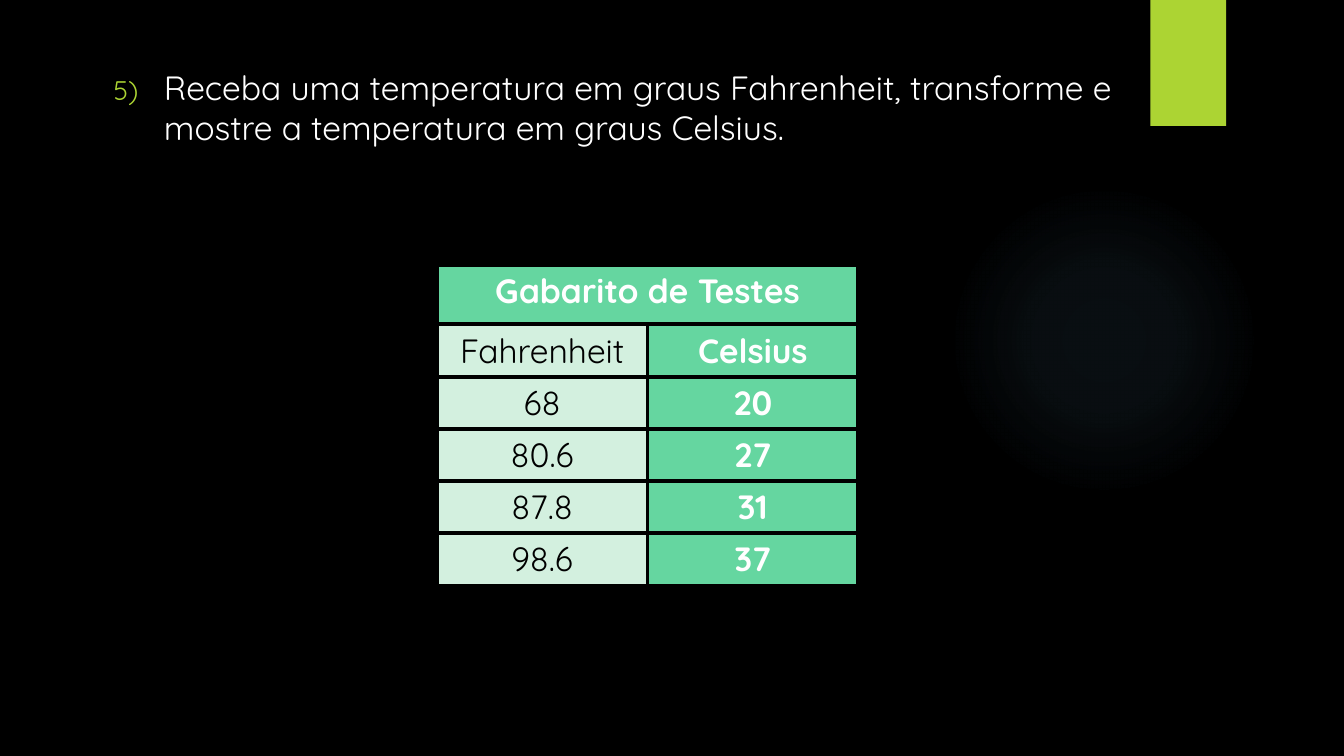
"""Build the slide with the Fahrenheit to Celsius exercise and its answer table."""
from lxml import etree
from pptx import Presentation
from pptx import util as u
from pptx.dml.color import RGBColor
from pptx.enum import shapes, text
from pptx.oxml import parse_xml
from pptx.oxml.ns import nsdecls, qn

BLACK, WHITE, LIME = "000000", "FFFFFF", "ACD433"
GREEN, MINT, GLOW = "65D6A0", "D3F0DF", "7AC4F0"


def color(value):
    return RGBColor.from_string(value)


def write(frame, words, ink=WHITE, bold=False, align=text.PP_ALIGN.LEFT,
          anchor=text.MSO_ANCHOR.TOP):
    frame.word_wrap = True
    frame.vertical_anchor = anchor
    para = frame.paragraphs[0]
    para.alignment = align
    span = para.add_run()
    span.text = words
    span.font.name = "Quicksand"
    span.font.size = u.Pt(24)
    span.font.bold = bold
    span.font.color.rgb = color(ink)
    return para


deck = Presentation()
deck.slide_width, deck.slide_height = u.Pt(960), u.Pt(540)
page = deck.slides.add_slide(deck.slide_layouts[6])
page.background.fill.solid()
page.background.fill.fore_color.rgb = color(BLACK)

glow = page.shapes.add_shape(shapes.MSO_SHAPE.OVAL, u.Pt(677.5), u.Pt(131.8),
                             u.Pt(221.8), u.Pt(221.8))
glow.shadow.inherit = False
glow.line.fill.background()
stops = "".join(
    f'<a:gs pos="{place * 1000}"><a:srgbClr val="{GLOW}">'
    f'<a:alpha val="{alpha * 1000}"/></a:srgbClr></a:gs>'
    for place, alpha in [(0, 7), (36, 6), (69, 0)])
glow.element.spPr.find(qn("a:prstGeom")).addnext(parse_xml(
    f'<a:gradFill {nsdecls("a")}><a:gsLst>{stops}</a:gsLst><a:path path="circle">'
    '<a:fillToRect l="50000" t="50000" r="50000" b="50000"/></a:path></a:gradFill>'))

tab = page.shapes.add_shape(shapes.MSO_SHAPE.RECTANGLE, u.Pt(821.8), u.Pt(0),
                            u.Pt(54), u.Pt(90))
tab.shadow.inherit = False
tab.fill.solid()
tab.fill.fore_color.rgb = color(LIME)
tab.line.fill.background()

box = page.shapes.add_textbox(u.Pt(74), u.Pt(44), u.Pt(738), u.Pt(330))
question = write(box.text_frame, "Receba uma temperatura em graus Fahrenheit, "
                 "transforme e mostre a temperatura em graus Celsius.")
question.space_before = u.Pt(10)
numbering = question._p.get_or_add_pPr()
numbering.set("marL", str(u.Pt(36)))
numbering.set("indent", str(-u.Pt(36)))
bullet_color = etree.SubElement(numbering, qn("a:buClr"))
etree.SubElement(bullet_color, qn("a:srgbClr"), val=LIME)
etree.SubElement(numbering, qn("a:buSzPct"), val="80000")
etree.SubElement(numbering, qn("a:buFont"), typeface="Quicksand")
etree.SubElement(numbering, qn("a:buAutoNum"), type="arabicParenR", startAt="5")

rows = [("Gabarito de Testes", ""), ("Fahrenheit", "Celsius"), ("68", "20"),
        ("80.6", "27"), ("87.8", "31"), ("98.6", "37")]
heights = [42, 38, 37.2, 37.2, 37.2, 37.2]
table = page.shapes.add_table(len(rows), 2, u.Pt(312), u.Pt(189.4),
                              u.Pt(301), u.Pt(sum(heights))).table
for column in table.columns:
    column.width = u.Pt(150.5)
table.cell(0, 0).merge(table.cell(0, 1))

for r, (row, height) in enumerate(zip(rows, heights)):
    table.rows[r].height = u.Pt(height)
    for c, words in enumerate(row):
        cell = table.cell(r, c)
        strong = r == 0 or c == 1
        if words:
            write(cell.text_frame, words, ink=WHITE if strong else BLACK,
                  bold=strong, align=text.PP_ALIGN.CENTER)
        cell.vertical_anchor = text.MSO_ANCHOR.MIDDLE if r else text.MSO_ANCHOR.TOP
        borders = cell._tc.get_or_add_tcPr()
        for side in ("lnL", "lnR", "lnT", "lnB"):
            line = etree.SubElement(borders, qn(f"a:{side}"), w=str(u.Pt(3)))
            paint = etree.SubElement(line, qn("a:solidFill"))
            etree.SubElement(paint, qn("a:srgbClr"), val=BLACK)
        cell.fill.solid()
        cell.fill.fore_color.rgb = color(GREEN if strong else MINT)

deck.save("out.pptx")
